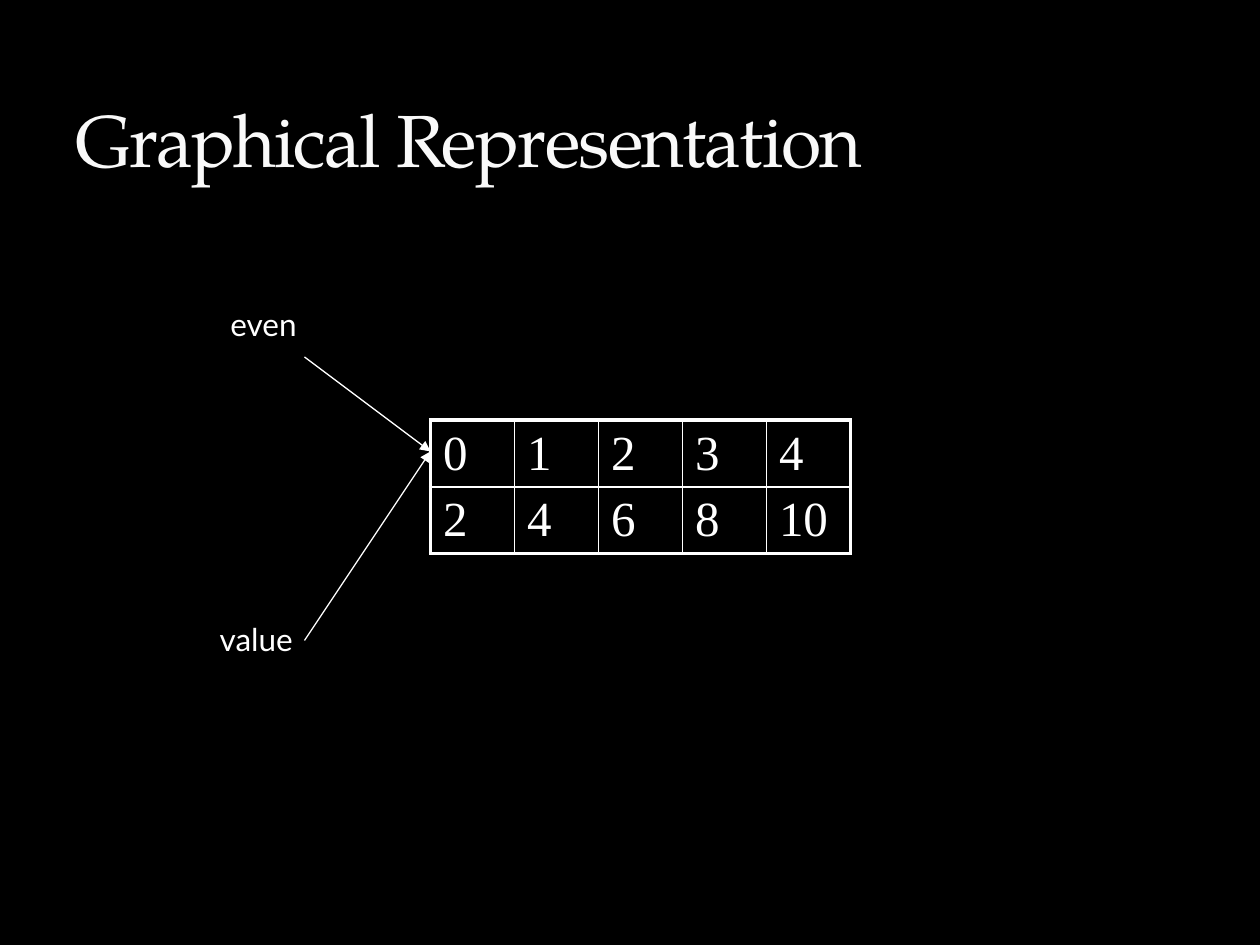
"""Build a slide showing two names that point at one array."""
from lxml import etree
from pptx import Presentation
from pptx.dml.color import RGBColor
from pptx.enum import shapes, text
from pptx.oxml import ns
from pptx.util import Pt

COLORS = {"back": "000000", "title": "F9F9F9", "ink": "FFFFFF"}
TITLE = "Graphical Representation"
ROWS = [("0", "1", "2", "3", "4"), ("2", "4", "6", "8", "10")]
LABELS = [
    ("even", (124.5, 171, 60, 36), (174, 204)),
    ("value", (118.5, 351, 66, 36), (174, 366)),
]
LEFT, TOP, WIDTH, HEIGHT = 246, 240, 48, 28
TARGET = (246, 258)
THIN, THICK = 1, 2.25


def color(name):
    return RGBColor.from_string(COLORS[name])


def write(frame, words, font, size, name="ink"):
    par = frame.paragraphs[0]
    run = par.add_run()
    run.text = words
    run.font.name, run.font.size = font, Pt(size)
    run.font.bold = False
    run.font.color.rgb = color(name)
    return par, run


def border(cell, side, width):
    props = cell._tc.get_or_add_tcPr()
    line = etree.SubElement(props, ns.qn("a:" + side), w=str(Pt(width)))
    fill = etree.SubElement(line, ns.qn("a:solidFill"))
    etree.SubElement(fill, ns.qn("a:srgbClr"), val=COLORS["ink"])


deck = Presentation()
deck.slide_width, deck.slide_height = Pt(720), Pt(540)
slide = deck.slides.add_slide(deck.slide_layouts[5])
slide.background.fill.solid()
slide.background.fill.fore_color.rgb = color("back")

title = slide.shapes.title
title.left, title.top, title.width, title.height = map(Pt, (36, 12, 648, 96))
title.text_frame.vertical_anchor = text.MSO_ANCHOR.BOTTOM
par, run = write(title.text_frame, TITLE, "TeX Gyre Pagella", 42, "title")
par.alignment = text.PP_ALIGN.LEFT
run.font._element.set("spc", "-100")

high, wide = len(ROWS), len(ROWS[0])
grid = slide.shapes.add_table(
    high, wide, Pt(LEFT), Pt(TOP), Pt(wide * WIDTH), Pt(high * HEIGHT)
).table
grid.first_row = grid.horz_banding = False
for r, row in enumerate(ROWS):
    for c, words in enumerate(row):
        cell = grid.cell(r, c)
        write(cell.text_frame, words, "Times New Roman", 28)
        edges = {"lnL": c == 0, "lnR": c == wide - 1,
                 "lnT": r == 0, "lnB": r == high - 1}
        for side, outer in edges.items():
            border(cell, side, THICK if outer else THIN)
        cell.fill.background()

for words, box, start in LABELS:
    label = slide.shapes.add_textbox(*map(Pt, box))
    label.text_frame.word_wrap = False
    write(label.text_frame, words, "Lato", 18)
    arrow = slide.shapes.add_connector(
        shapes.MSO_CONNECTOR.STRAIGHT, *map(Pt, start + TARGET)
    )
    arrow.line.color.rgb = color("ink")
    arrow.line.width = Pt(0.75)
    etree.SubElement(arrow.line._get_or_add_ln(), ns.qn("a:tailEnd"), type="triangle")
    etree.SubElement(arrow._element.spPr, ns.qn("a:effectLst"))

deck.save("out.pptx")
